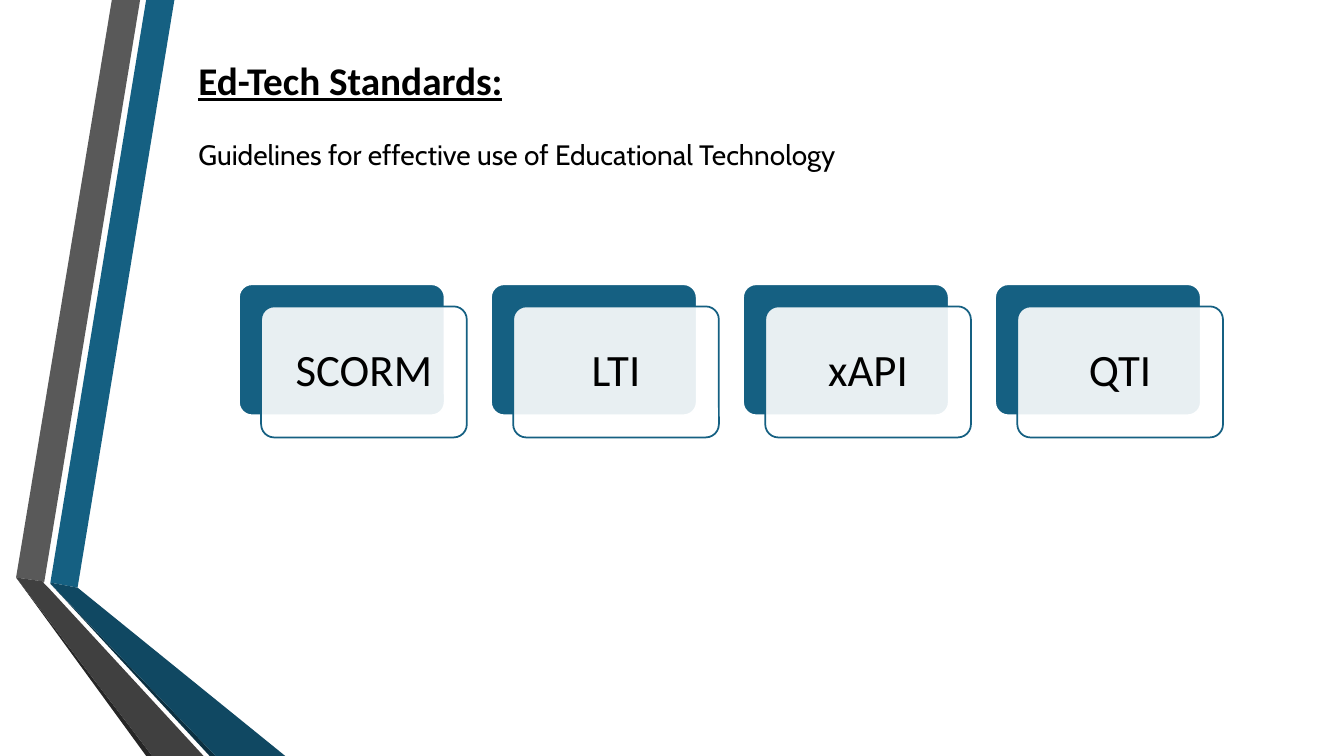
import pptx
import pptx.util
import pptx.dml.color
import pptx.enum.shapes
import pptx.enum.text
import pptx.oxml.ns
import lxml.etree

Inches = pptx.util.Inches
Pt = pptx.util.Pt

COLORS = {
    "blue": "156082",
    "dark_blue": "104862",
    "deep_blue": "0B3041",
    "grey": "595959",
    "dark_grey": "404040",
    "deep_grey": "262626",
    "white": "FFFFFF",
    "black": "000000",
}

# Folded ribbons at the left edge: colour and outline in inches
RIBBONS = [
    ("blue", [(0.5, 5.78), (0.77, 5.83), (1.73, 0), (1.45, 0)]),
    ("grey", [(1.39, 0), (1.11, 0), (0.16, 5.73), (0.44, 5.77)]),
    ("deep_grey", [(0.16, 5.73), (1.45, 7.5), (1.51, 7.5)]),
    ("deep_blue", [(0.5, 5.79), (2.08, 7.5), (2.14, 7.5)]),
    ("dark_blue", [(0.5, 5.79), (2.14, 7.5), (2.83, 7.5), (0.77, 5.83), (0.5, 5.78)]),
    ("dark_grey", [(2.02, 7.5), (0.48, 5.83), (0.43, 5.78), (0.44, 5.77),
                   (0.16, 5.73), (1.51, 7.5)]),
]

STANDARDS = ["SCORM", "LTI", "xAPI", "QTI"]
CARD_LEFT, CARD_TOP, CARD_PITCH = 2.37, 2.82, 2.5
CARD_WIDTH, CARD_HEIGHT, CARD_OFFSET = 2.04, 1.3, 0.22


def rgb(name):
    return pptx.dml.color.RGBColor.from_string(COLORS[name])


def set_fill(sp, color, alpha=None):
    sp.shadow.inherit = False
    sp.fill.solid()
    sp.fill.fore_color.rgb = rgb(color)
    if alpha is not None:
        qn = pptx.oxml.ns.qn
        clr = sp.element.spPr.find(qn("a:solidFill")).find(qn("a:srgbClr"))
        lxml.etree.SubElement(clr, qn("a:alpha")).set("val", str(alpha * 1000))


def format_text(p, font, size, bold=False, underline=False):
    for r in p.runs:
        r.font.name = font
        r.font.size = Pt(size)
        r.font.bold = bold
        r.font.underline = underline
        r.font.color.rgb = rgb("black")


def add_ribbon(s, color, points):
    outline = [(Inches(x), Inches(y)) for x, y in points]
    builder = s.shapes.build_freeform(*outline[0])
    builder.add_line_segments(outline[1:], close=True)
    sp = builder.convert_to_shape()
    set_fill(sp, color)
    sp.line.fill.background()


def add_heading(s, title, subtitle):
    tf = s.shapes.add_textbox(Inches(1.87), Inches(0.51), Inches(7.46), Inches(3.06)).text_frame
    tf.word_wrap = True
    tf.text = title
    format_text(tf.paragraphs[0], "Calibri", 28, bold=True, underline=True)
    p = tf.add_paragraph()
    p.text = subtitle
    p.space_before = Pt(24)
    format_text(p, "Cabin", 20)


def add_panel(s, left, top, fill, line, alpha=None):
    sp = s.shapes.add_shape(
        pptx.enum.shapes.MSO_SHAPE.ROUNDED_RECTANGLE,
        Inches(left), Inches(top), Inches(CARD_WIDTH), Inches(CARD_HEIGHT))
    sp.adjustments[0] = 0.1
    set_fill(sp, fill, alpha)
    sp.line.color.rgb = rgb(line)
    sp.line.width = Pt(1.25)
    return sp


def add_card(s, left, label):
    add_panel(s, left, CARD_TOP, "blue", "white")
    front = add_panel(s, left + CARD_OFFSET, CARD_TOP + CARD_OFFSET, "white", "blue", alpha=90)
    tf = front.text_frame
    tf.text = label
    tf.word_wrap = True
    tf.vertical_anchor = pptx.enum.text.MSO_ANCHOR.MIDDLE
    p = tf.paragraphs[0]
    p.alignment = pptx.enum.text.PP_ALIGN.CENTER
    p.line_spacing = 0.9
    format_text(p, "Calibri", 32)


def main():
    prs = pptx.Presentation()
    prs.slide_width, prs.slide_height = Inches(13.33), Inches(7.5)
    s = prs.slides.add_slide(prs.slide_layouts[6])

    # Side decoration
    for color, points in RIBBONS:
        add_ribbon(s, color, points)

    # Heading
    add_heading(s, "Ed-Tech Standards:",
                "Guidelines for effective use of Educational Technology")

    # Row of standards
    for i, label in enumerate(STANDARDS):
        add_card(s, CARD_LEFT + i * CARD_PITCH, label)

    prs.save("out.pptx")


if __name__ == "__main__":
    main()
